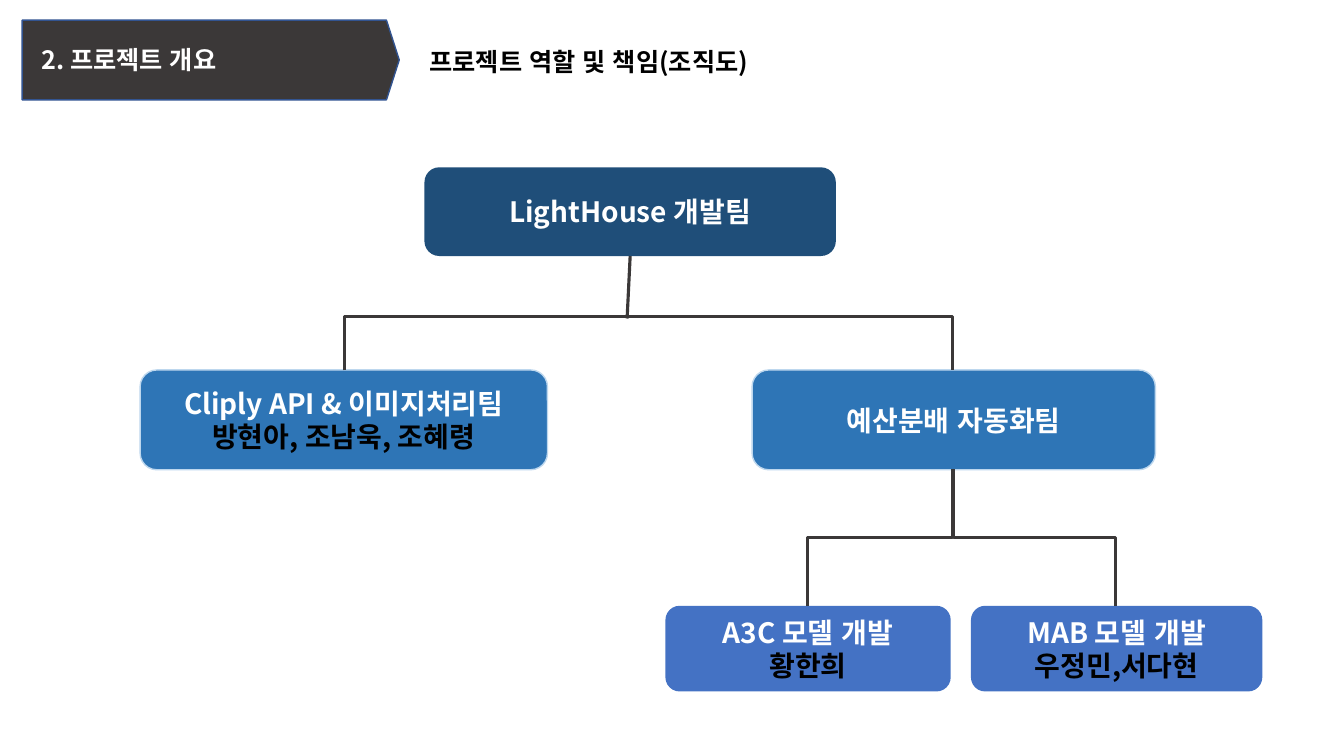
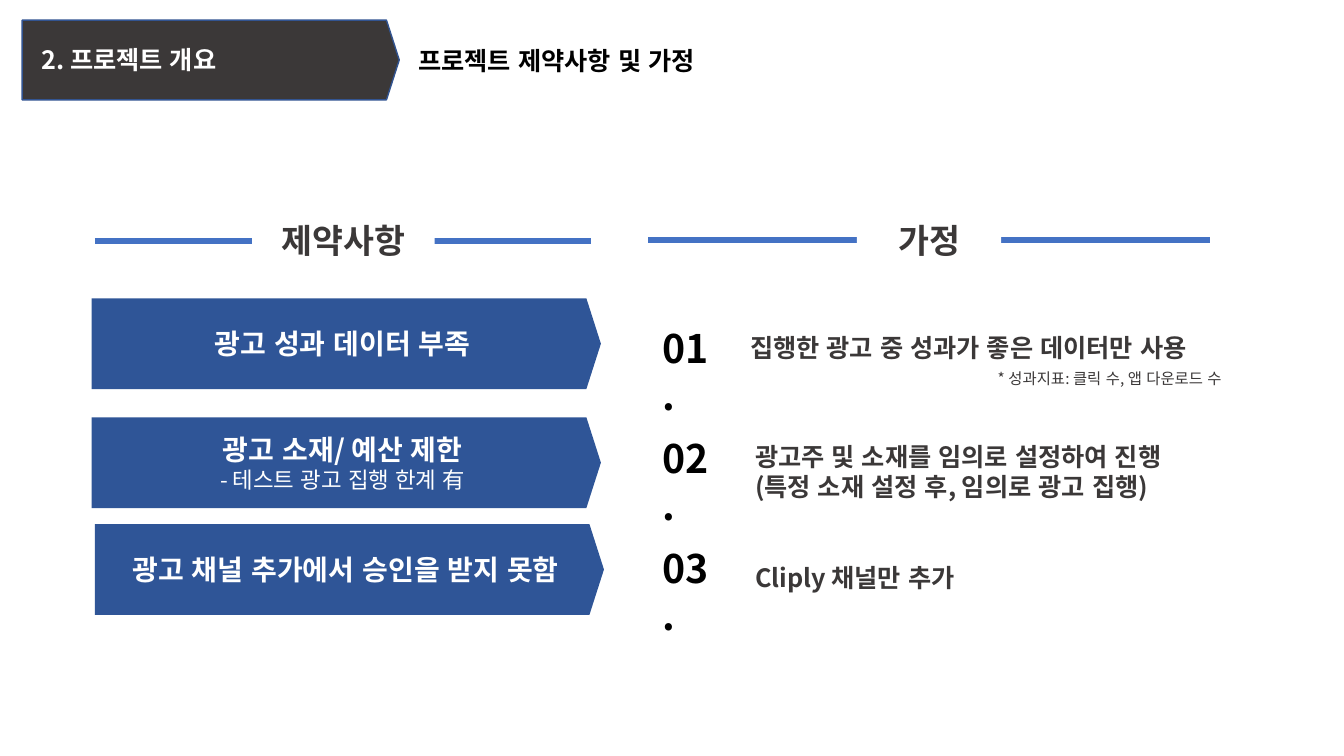
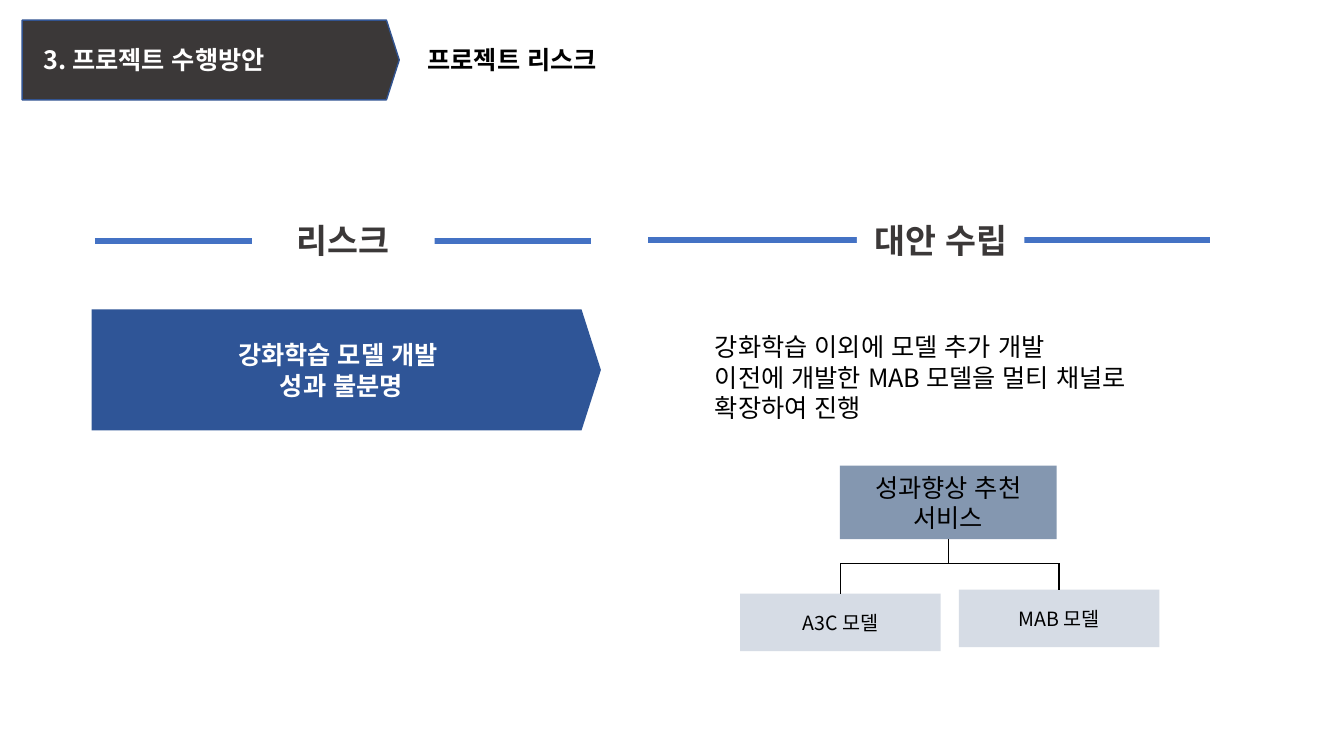
from lxml.etree import SubElement
from pptx import Presentation
from pptx.dml.color import RGBColor
from pptx.enum.lang import MSO_LANGUAGE_ID
from pptx.enum.shapes import MSO_CONNECTOR, MSO_SHAPE
from pptx.enum.text import MSO_ANCHOR, MSO_AUTO_SIZE, PP_ALIGN
from pptx.oxml.ns import qn
from pptx.util import Inches, Pt

FONT = "Noto Sans CJK KR"
WHITE, BLACK, DARK = "FFFFFF", "000000", "3B3838"
BLUE, NAVY, SKY = "4472C4", "2F5597", "2E75B6"
PALE, STEEL = "D6DCE5", "8497B0"
LEFT, MID, RIGHT = PP_ALIGN.LEFT, PP_ALIGN.CENTER, PP_ALIGN.RIGHT
TOP = MSO_ANCHOR.TOP
hue = RGBColor.from_string


def put(item, rows, fill=None, edge=None, side=MID, rise=MSO_ANCHOR.MIDDLE):
    item.shadow.inherit = False
    for part, tone in ((item.fill, fill), (item.line.fill, edge)):
        if tone:
            part.solid()
            part.fore_color.rgb = hue(tone)
        else:
            part.background()
    if edge:
        item.line.width = Pt(1)
    frame = item.text_frame
    frame.text = "\n".join(row[0] for row in rows)
    frame.word_wrap = True
    frame.auto_size = MSO_AUTO_SIZE.NONE
    frame.vertical_anchor = rise
    for para, (words, size, tone, bold) in zip(frame.paragraphs, rows):
        para.alignment = side
        for run in para.runs:
            font = run.font
            font.name, font.size, font.bold = FONT, Pt(size), bold
            font.color.rgb = hue(tone)
            font.language_id = MSO_LANGUAGE_ID.KOREAN
            SubElement(font._element, qn("a:ea")).set("typeface", FONT)
    return item


def wire(page, start, end, tone, width, kind=MSO_CONNECTOR.STRAIGHT):
    line = page.shapes.add_connector(kind, *map(Inches, start + end))
    line.line.color.rgb = hue(tone)
    line.line.width = Pt(width)
    SubElement(line._element.spPr, qn("a:effectLst"))
    return line


deck = Presentation()
deck.slide_width, deck.slide_height = Inches(13.33), Inches(7.5)

pages = []
for kind, label, inset, title, left, top in (
    (5, "2. 프로젝트 개요", 0.19, "프로젝트 역할 및 책임(조직도)", 4.16, 0.41),
    (5, "2. 프로젝트 개요", 0.19, "프로젝트 제약사항 및 가정", 4.05, 0.4),
    (1, "3. 프로젝트 수행방안", 0.21, "프로젝트 리스크", 4.14, 0.39),
):
    page = deck.slides.add_slide(deck.slide_layouts[kind])
    pages.append(page)
    band = page.shapes.add_shape(
        MSO_SHAPE.PENTAGON, *map(Inches, (0.22, 0.2, 3.74, 0.79)))
    band.adjustments[0] = 0.16
    put(band, [(label, 18, WHITE, True)], DARK, "325491", LEFT, TOP)
    band.text_frame.margin_left = Inches(inset)
    band.text_frame.margin_top = Inches(0.24)
    name = page.shapes.title
    name.left, name.top, name.width, name.height = map(
        Inches, (left, top, 8.5, 0.4))
    put(name, [(title, 18, BLACK, True)], side=LEFT, rise=TOP)

team, plan, risk = pages

nodes = []
for at, fill, edge, job, crew in (
    ((4.21, 1.66, 4.08, 0.88), "1F4E79", None, "LightHouse 개발팀", None),
    ((1.39, 3.67, 4.04, 0.99), SKY, "BDD7EE",
     "Cliply API & 이미지처리팀", "방현아, 조남욱, 조혜령"),
    ((7.46, 3.67, 4, 0.99), SKY, "BDD7EE", "예산분배 자동화팀", None),
    ((6.6, 6.01, 2.83, 0.85), BLUE, None, "A3C 모델 개발", "황한희"),
    ((9.63, 6.01, 2.89, 0.85), BLUE, None, "MAB 모델 개발", "우정민,서다현"),
):
    node = team.shapes.add_shape(
        MSO_SHAPE.ROUNDED_RECTANGLE, *map(Inches, at))
    rows = [(job, 20, WHITE, True)]
    if crew:
        rows.append((crew, 20, BLACK, True))
    nodes.append(put(node, rows, fill, edge))

wire(team, (6.25, 2.54), (6.22, 3.16), DARK, 2.25).begin_connect(nodes[0], 2)
for left, top, width, height, turn, flips, form in (
    (4.55, 2.01, 0.53, 2.8, 90, ("flipH", "flipV"), "bentConnector2"),
    (6.05, 3.14, 3.4, 0.53, 0, (), "bentConnector2"),
    (8.05, 4.61, 1.36, 1.44, 90, (), "bentConnector3"),
    (9.58, 4.53, 1.36, 1.61, 270, ("flipH",), "bentConnector3"),
):
    bend = wire(team, (left, top), (left + width, top + height),
                DARK, 2.25, MSO_CONNECTOR.ELBOW)
    props = bend._element.spPr
    props.find(qn("a:prstGeom")).set("prst", form)
    frame = props.find(qn("a:xfrm"))
    frame.set("rot", str(turn * 60000))
    for flip in flips:
        frame.set(flip, "1")

for page, start, end, left, width, words in (
    (plan, (0.94, 2.39), (5.86, 2.39), 2.5, 1.81, "제약사항"),
    (plan, (6.43, 2.38), (12, 2.38), 8.5, 1.43, "가정"),
    (risk, (0.94, 2.39), (5.86, 2.39), 2.5, 1.81, "리스크"),
    (risk, (6.43, 2.38), (12, 2.38), 8.5, 1.66, "대안 수립"),
):
    wire(page, start, end, BLUE, 4.5)
    head = page.shapes.add_shape(
        MSO_SHAPE.RECTANGLE, *map(Inches, (left, 2.11, width, 0.55)))
    put(head, [(words, 24, DARK, True)], WHITE)

for page, left, top, height, rows in (
    (plan, 0.91, 2.96, 0.9, [("광고 성과 데이터 부족", 20, WHITE, True)]),
    (plan, 0.91, 4.14, 0.9, [("광고 소재/ 예산 제한", 20, WHITE, True),
                             ("- 테스트 광고 집행 한계 有", 16, WHITE, False)]),
    (plan, 0.94, 5.2, 0.9,
     [("광고 채널 추가에서 승인을 받지 못함", 20, WHITE, True)]),
    (risk, 0.91, 3.07, 1.2, [("강화학습 모델 개발 ", 18, WHITE, True),
                             ("성과 불분명", 18, WHITE, True)]),
):
    arrow = page.shapes.add_shape(
        MSO_SHAPE.PENTAGON, *map(Inches, (left, top, 5.05, height)))
    arrow.adjustments[0] = 0.16
    put(arrow, rows, NAVY)

for step in range(3):
    mark = plan.shapes.add_textbox(
        *map(Inches, (6.47, 3.17 + 1.09 * step, 0.76, 0.64)))
    put(mark, [(f"0{step + 1}.", 28, BLACK, True)], side=LEFT, rise=TOP)

for at, size, bold, side, space, lines in (
    ((7.34, 3.25, 5.05, 0.4), 18, True, LEFT, 1,
     ["집행한 광고 중 성과가 좋은 데이터만 사용"]),
    ((7.39, 4.33, 5.5, 0.71), 18, True, LEFT, 1,
     ["광고주 및 소재를 임의로 설정하여 진행",
      "(특정 소재 설정 후, 임의로 광고 집행)"]),
    ((7.39, 5.23, 3, 0.61), 18, True, LEFT, 2, ["Cliply 채널만 추가"]),
    ((8.26, 3.61, 4, 0.29), 11, False, RIGHT, 1,
     ["* 성과지표: 클릭 수, 앱 다운로드 수 "]),
):
    note = plan.shapes.add_textbox(*map(Inches, at))
    put(note, [(line, size, DARK, bold) for line in lines],
        side=side, rise=TOP)
    for para in note.text_frame.paragraphs:
        para.line_spacing = float(space)

body = risk.placeholders[1]
body.left, body.top, body.width, body.height = map(
    Inches, (6.99, 3.24, 4.9, 1.01))
put(body, [("강화학습 이외에 모델 추가 개발", 18, BLACK, False),
           ("이전에 개발한 MAB 모델을 멀티 채널로 확장하여 진행", 18, BLACK, False)],
    side=LEFT, rise=TOP)
for para in body.text_frame.paragraphs:
    para.space_before = Pt(0)
    props = para._p.get_or_add_pPr()
    props.set("marL", "0")
    props.set("indent", "0")
    SubElement(props, qn("a:buNone"))

parts = []
for at, fill, size, lines in (
    ((8.33, 4.62, 2.15, 0.73), STEEL, 18, ["성과향상 추천", "서비스"]),
    ((7.34, 5.89, 1.99, 0.57), PALE, 14, ["A3C 모델"]),
    ((9.51, 5.85, 1.99, 0.57), PALE, 14, ["MAB 모델"]),
):
    part = risk.shapes.add_shape(MSO_SHAPE.RECTANGLE, *map(Inches, at))
    parts.append(
        put(part, [(line, size, BLACK, False) for line in lines], fill))

root, *kids = parts
bar = 5.59
stem, *ends = [item.left.inches + item.width.inches / 2 for item in parts]
foot = root.top.inches + root.height.inches
wire(risk, (stem, foot), (stem, bar), BLACK, 1).begin_connect(root, 2)
wire(risk, (ends[0], bar), (ends[1], bar), BLACK, 1)
for kid, end in zip(kids, ends):
    drop = wire(risk, (end, bar), (end, kid.top.inches), BLACK, 1)
    drop.end_connect(kid, 0)

deck.save("out.pptx")
